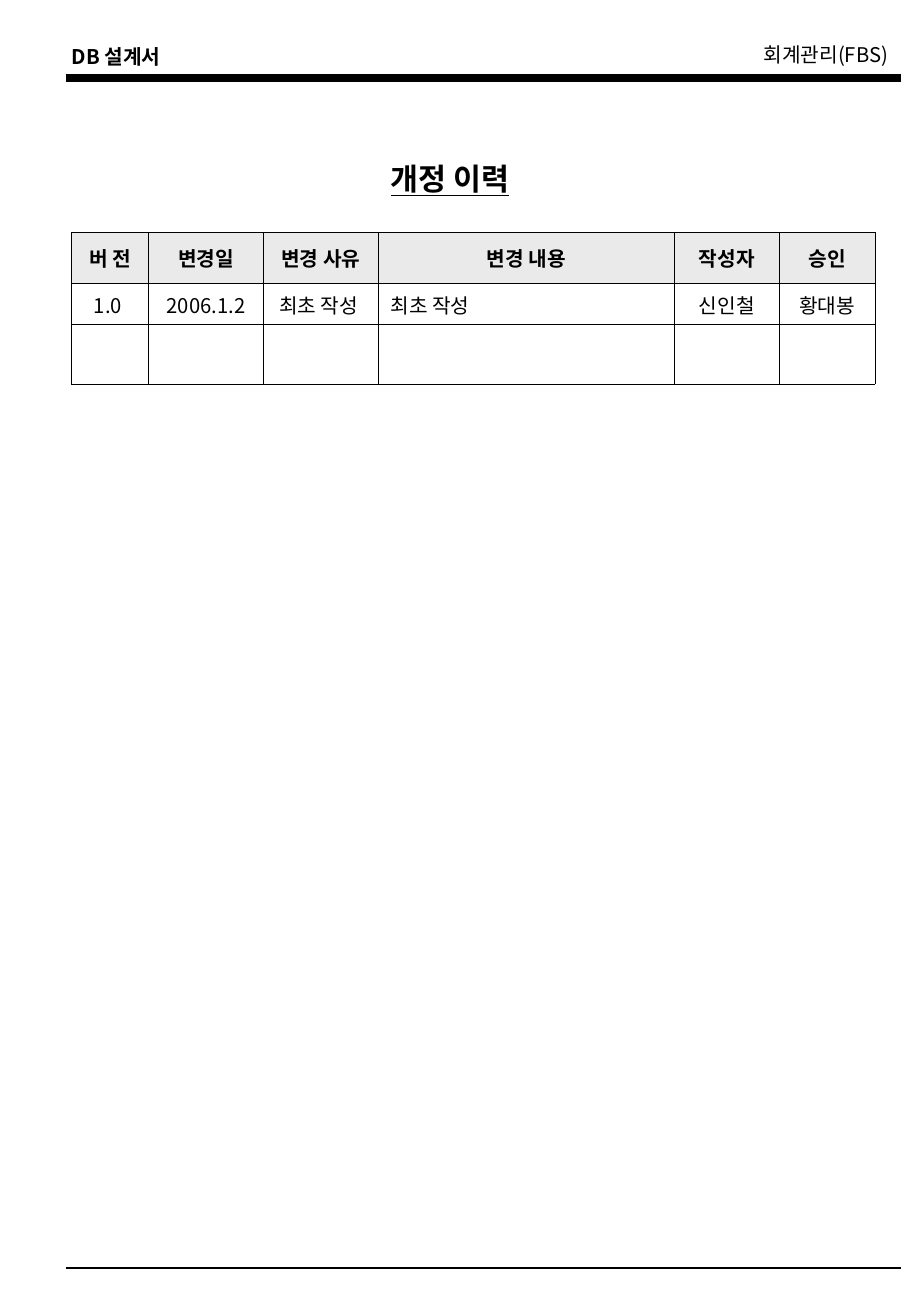
from dataclasses import dataclass

from lxml.etree import SubElement
from pptx import Presentation
from pptx.dml.color import RGBColor
from pptx.enum.shapes import MSO_CONNECTOR as Conn
from pptx.enum.text import MSO_ANCHOR as Anchor, PP_ALIGN as Align
from pptx.oxml.ns import qn
from pptx.slide import Slide
from pptx.util import Cm, Pt

FONT = "Noto Sans CJK KR"
BLACK, HEAD_FILL = "000000", "EAEAEA"


@dataclass
class Label:
    text: str
    left: float
    top: float
    width: float
    align: Align
    bold: bool


@dataclass
class Rule:
    y: float
    weight: float


@dataclass
class Column:
    head: str
    entry: str
    width: float
    align: Align = Align.CENTER


LABELS = [
    Label("DB 설계서", 1.25, 0.81, 2.54, Align.LEFT, True),
    Label("회계관리(FBS)", 15.6, 0.76, 3.22, Align.RIGHT, False),
]
RULES = [Rule(1.63, 4.5), Rule(26.52, 1)]
COLUMNS = [
    Column("버 전", "1.0 ", 1.61),
    Column("변경일", "2006.1.2", 2.4),
    Column("변경 사유", "최초 작성 ", 2.4),
    Column("변경 내용", "최초 작성", 6.19, Align.LEFT),
    Column("작성자", "신인철", 2.2),
    Column("승인", "황대봉", 2.0),
]
ROW_HEIGHTS = [1.07, 0.85, 1.25]


def rgb(value: str) -> RGBColor:
    return RGBColor.from_string(value)


def write(tf, text: str, size: float, bold: bool, align: Align) -> None:
    tf.text = text
    tf.vertical_anchor = Anchor.MIDDLE
    p = tf.paragraphs[0]
    p.alignment = align
    for r in p.runs:
        r.font.size, r.font.bold, r.font.name = Pt(size), bold, FONT
        r.font.color.rgb = rgb(BLACK)
        SubElement(r.font._element, qn("a:ea"), typeface=FONT)


def add_label(s: Slide, label: Label) -> None:
    box = s.shapes.add_textbox(Cm(label.left), Cm(label.top), Cm(label.width), Cm(0.76))
    box.text_frame.word_wrap = True
    write(box.text_frame, label.text, 12, label.bold, label.align)


def add_rule(s: Slide, rule: Rule) -> None:
    line = s.shapes.add_connector(Conn.STRAIGHT, Cm(1.37), Cm(rule.y), Cm(18.85), Cm(rule.y))
    line.line.color.rgb = rgb(BLACK)
    line.line.width = Pt(rule.weight)
    SubElement(line._element.spPr, qn("a:effectLst"))


def add_title(s: Slide) -> None:
    title = s.shapes.title
    title.left, title.top, title.width, title.height = Cm(7.92), Cm(3.23), Cm(3.89), Cm(1.02)
    write(title.text_frame, "개정 이력", 18, True, Align.LEFT)
    title.text_frame.paragraphs[0].runs[0].font.underline = True


def style_cell(cell, fill: str | None) -> None:
    tc_pr = cell._tc.get_or_add_tcPr()
    for side in ("lnL", "lnR", "lnT", "lnB"):
        ln = SubElement(tc_pr, qn(f"a:{side}"), w=str(Pt(0.45)))
        SubElement(SubElement(ln, qn("a:solidFill")), qn("a:srgbClr"), val=BLACK)
    if fill:
        cell.fill.solid()
        cell.fill.fore_color.rgb = rgb(fill)
    else:
        cell.fill.background()


def add_history(s: Slide) -> None:
    width = sum(c.width for c in COLUMNS)
    frame = s.shapes.add_table(len(ROW_HEIGHTS), len(COLUMNS), Cm(1.5), Cm(4.86),
                               Cm(width), Cm(sum(ROW_HEIGHTS)))
    table = frame.table
    for row, height in zip(table.rows, ROW_HEIGHTS):
        row.height = Cm(height)
    for i, column in enumerate(COLUMNS):
        table.columns[i].width = Cm(column.width)
        head, entry, blank = (table.cell(row, i) for row in range(3))
        write(head.text_frame, column.head, 12, True, Align.CENTER)
        write(entry.text_frame, column.entry, 12, False, column.align)
        for cell, fill in ((head, HEAD_FILL), (entry, None), (blank, None)):
            cell.vertical_anchor = Anchor.MIDDLE
            style_cell(cell, fill)


def main() -> None:
    prs = Presentation()
    prs.slide_width, prs.slide_height = Cm(19.05), Cm(27.53)
    s = prs.slides.add_slide(prs.slide_layouts[5])

    # Page header and footer
    for label in LABELS:
        add_label(s, label)
    for rule in RULES:
        add_rule(s, rule)

    # Revision history
    add_title(s)
    add_history(s)
    prs.save("out.pptx")


if __name__ == "__main__":
    main()
